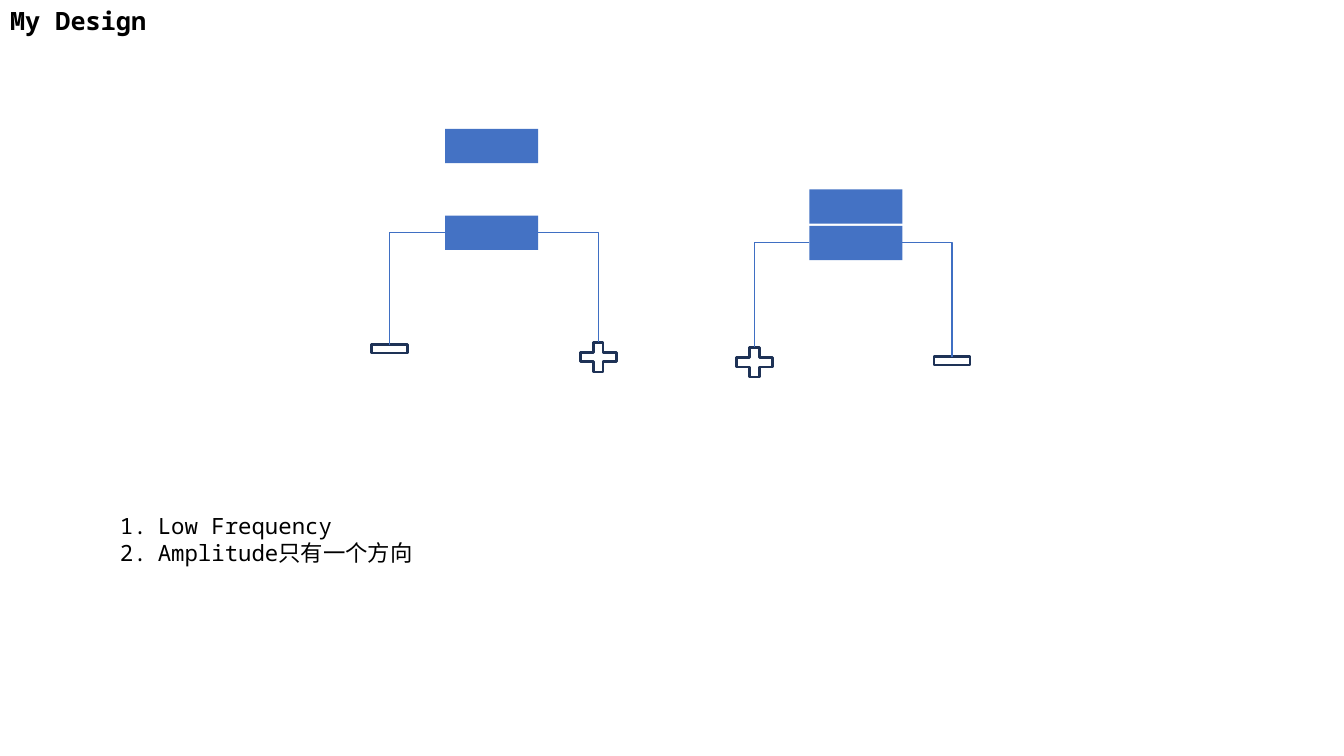
from pptx import Presentation
from pptx.dml.color import RGBColor
from pptx.enum.shapes import MSO_CONNECTOR, MSO_SHAPE
from pptx.enum.text import MSO_ANCHOR, MSO_AUTO_SIZE, PP_ALIGN
from pptx.oxml.ns import qn
from pptx.util import Pt

RECT, PLUS, MINUS = MSO_SHAPE.RECTANGLE, MSO_SHAPE.MATH_PLUS, MSO_SHAPE.MATH_MINUS
ELBOW = MSO_CONNECTOR.ELBOW
TOP, LEFT = MSO_ANCHOR.TOP, PP_ALIGN.LEFT
NO_FIT = MSO_AUTO_SIZE.NONE

BLUE = RGBColor(0x44, 0x72, 0xC4)
WIRE_BLUE = RGBColor(0x3F, 0x6F, 0xC3)
NAVY = RGBColor(0x1E, 0x32, 0x56)
BLACK = RGBColor(0, 0, 0)

PLATE_W, PLATE_H = 66.4, 24.5
SIGN_W = 35
# Height of each sign's frame, and the gap from its top to the drawn outline
SIGN_SIZE = {PLUS: (29, 3.8), MINUS: (24.5, 9.4)}
SIDE_LEFT, SIDE_RIGHT, SIGN_TOP = 1, 3, 3


class Deck:
    font = "Noto Sans Mono"

    def __init__(self, width, height):
        self.prs = Presentation()
        self.prs.slide_width, self.prs.slide_height = Pt(width), Pt(height)
        self.s = self.prs.slides.add_slide(self.prs.slide_layouts[1])

    def text(self, sp, lines, box, size, bold=False, wrap=True, numbered=False):
        sp.left, sp.top, sp.width, sp.height = map(Pt, box)
        tf = sp.text_frame
        tf.text = "\n".join(lines)
        tf.auto_size, tf.vertical_anchor, tf.word_wrap = NO_FIT, TOP, wrap
        for p in tf.paragraphs:
            p.alignment, p.line_spacing, p.space_before = LEFT, 1.0, Pt(0)
            if numbered:
                pPr = p._p.get_or_add_pPr()
                pPr.set("marL", str(Pt(27)))
                pPr.set("indent", str(-Pt(27)))
                bullet = pPr.makeelement(qn("a:buAutoNum"), {"type": "arabicPeriod"})
                pPr.append(bullet)
            for r in p.runs:
                r.font.name, r.font.size, r.font.bold = self.font, Pt(size), bold
                r.font.color.rgb = BLACK

    def shape(self, kind, x, y, w, h):
        sp = self.s.shapes.add_shape(kind, Pt(x), Pt(y), Pt(w), Pt(h))
        sp.shadow.inherit = False
        return sp

    def plate(self, x, y):
        sp = self.shape(RECT, x, y, PLATE_W, PLATE_H)
        sp.fill.solid()
        sp.fill.fore_color.rgb = BLUE
        sp.line.fill.background()
        return sp

    def sign(self, kind, center, y):
        sp = self.shape(kind, center - SIGN_W / 2, y, SIGN_W, SIGN_SIZE[kind][0])
        sp.fill.background()
        sp.line.color.rgb, sp.line.width = NAVY, Pt(2)
        return sp

    def wire(self, plate, side, sign, x, y):
        c = self.s.shapes.add_connector(ELBOW, 0, 0, Pt(x), Pt(y))
        c.begin_connect(plate, side)
        c.end_connect(sign, SIGN_TOP)
        # The wire meets the drawn outline, which lies inside the frame
        c.end_x, c.end_y = Pt(x), Pt(y)
        c.line.color.rgb, c.line.width = WIRE_BLUE, Pt(0.75)
        spPr = c._element.spPr
        spPr.find(qn("a:prstGeom")).set("prst", "bentConnector2")
        spPr.append(spPr.makeelement(qn("a:effectLst"), {}))

    def plate_pair(self, x, upper, lower, left_sign, right_sign):
        wired = self.plate(x, lower)
        self.plate(x, upper)
        for side, (kind, center, y) in ((SIDE_LEFT, left_sign), (SIDE_RIGHT, right_sign)):
            sign = self.sign(kind, center, y)
            self.wire(wired, side, sign, center, y + SIGN_SIZE[kind][1])


def main():
    deck = Deck(960, 540)
    title, body = deck.s.placeholders

    # Title
    deck.text(title, ["My Design"], (0, 0, 113.8, 28.8), 18, bold=True, wrap=False)

    # Plates closed, then plates apart
    deck.plate_pair(578.2, 135.3, 161.3, (PLUS, 539, 244.2), (MINUS, 680, 245.6))
    deck.plate_pair(318, 92, 154, (MINUS, 278.3, 237), (PLUS, 427.3, 240.6))

    # Notes on the design
    deck.text(body, ["Low Frequency", "Amplitude只有一个方向"],
              (78.5, 362.2, 442.8, 46), 16, numbered=True)

    deck.prs.save("out.pptx")


if __name__ == "__main__":
    main()
